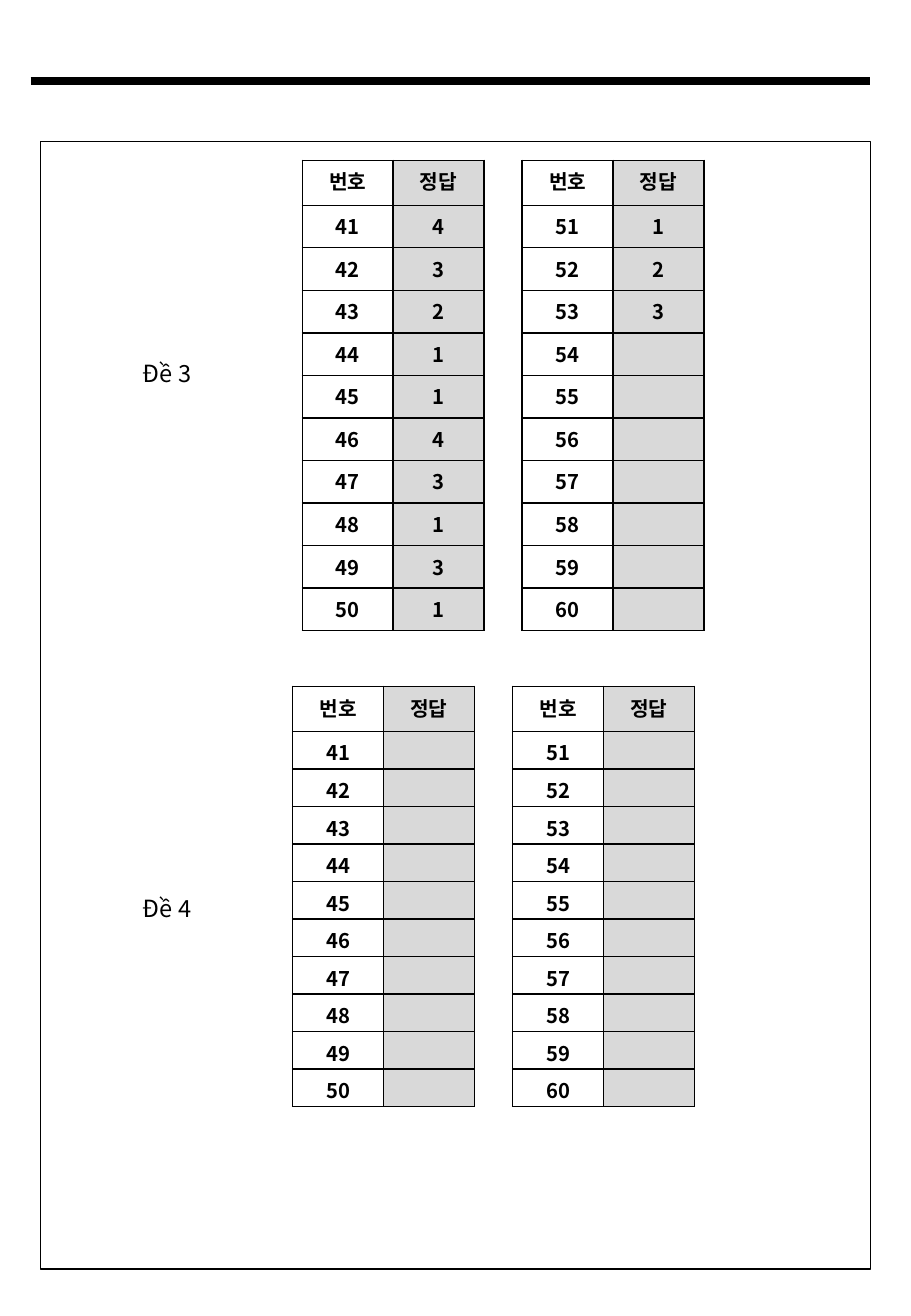
from lxml import etree
from pptx import Presentation
from pptx import util as u
from pptx.dml.color import RGBColor
from pptx.enum import shapes, text
from pptx.oxml.ns import qn

FONT = "Noto Sans CJK KR"
COLORS = {"ink": "000000", "answer": "D9D9D9"}
HEADER = ("번호", "정답")
FIRST_NUMBERS = (41, 51)
ROWS = 10

# Lengths in cm; answers are listed per column block
EXAMS = [
    {"label": "Đề 3", "label_y": 7.37, "x": 6.32, "y": 3.35, "body": 8.89, "bottom": 0.13,
     "answers": ("4321143131", "123")},
    {"label": "Đề 4", "label_y": 18.57, "x": 6.12, "y": 14.35, "body": 7.84, "bottom": 0,
     "answers": ("", "")},
]
LABEL_X, LABEL_W, LABEL_H = 2.74, 1.65, 0.86
COL_W, HEADER_H, TABLE_STEP = 1.9, 0.94, 4.6


def rgb(name):
    return RGBColor.from_string(COLORS[name])


def write(tf, content, size=12, bold=False, align=text.PP_ALIGN.LEFT):
    p = tf.paragraphs[0]
    p.alignment = align
    if not content:
        end = p._p.get_or_add_endParaRPr()
        end.set("sz", str(size * 100))
        for tag in ("a:latin", "a:ea"):
            etree.SubElement(end, qn(tag), typeface=FONT)
        return
    r = p.add_run()
    r.text = content
    r.font.size = u.Pt(size)
    r.font.bold = bold
    r.font.color.rgb = rgb("ink")
    r.font.name = FONT
    etree.SubElement(r._r.get_or_add_rPr(), qn("a:ea"), typeface=FONT)


def add_borders(cell):
    tcPr = cell._tc.get_or_add_tcPr()
    for i, side in enumerate(("a:lnL", "a:lnR", "a:lnT", "a:lnB")):
        ln = etree.Element(qn(side), w=str(u.Pt(1)))
        fill = etree.SubElement(ln, qn("a:solidFill"))
        etree.SubElement(fill, qn("a:srgbClr"), val=COLORS["ink"])
        tcPr.insert(i, ln)


def add_answer_table(s, x, y, first, answers, body, bottom):
    rows = [HEADER] + [(str(first + i), answers[i:i + 1]) for i in range(ROWS)]
    table = s.shapes.add_table(len(rows), 2, u.Cm(x), u.Cm(y), u.Cm(2 * COL_W),
                               u.Cm(HEADER_H + body)).table
    table.first_row = table.horz_banding = False
    for col in table.columns:
        col.width = u.Cm(COL_W)
    for i, values in enumerate(rows):
        table.rows[i].height = u.Cm(body / ROWS if i else HEADER_H)
        for j, value in enumerate(values):
            cell = table.cell(i, j)
            cell.margin_bottom = u.Cm(bottom)
            if j:
                cell.fill.solid()
                cell.fill.fore_color.rgb = rgb("answer")
            else:
                cell.fill.background()
            add_borders(cell)
            write(cell.text_frame, value, bold=True, align=text.PP_ALIGN.CENTER)


def main():
    prs = Presentation()
    prs.slide_width, prs.slide_height = u.Cm(19.05), u.Cm(27.51)
    s = prs.slides.add_slide(prs.slide_layouts[6])

    rule = s.shapes.add_connector(shapes.MSO_CONNECTOR.STRAIGHT,
                                  u.Cm(0.64), u.Cm(1.69), u.Cm(18.2), u.Cm(1.69))
    rule.line.color.rgb = rgb("ink")
    rule.line.width = u.Pt(4.5)
    etree.SubElement(rule._element.spPr, qn("a:effectLst"))

    frame = s.shapes.add_shape(shapes.MSO_SHAPE.RECTANGLE,
                               u.Cm(0.85), u.Cm(2.96), u.Cm(17.35), u.Cm(23.57))
    frame.shadow.inherit = False
    frame.fill.background()
    frame.line.color.rgb = rgb("ink")
    frame.line.width = u.Pt(0.75)

    for exam in EXAMS:
        label = s.shapes.add_textbox(u.Cm(LABEL_X), u.Cm(exam["label_y"]),
                                     u.Cm(LABEL_W), u.Cm(LABEL_H))
        label.text_frame.word_wrap = True
        label.text_frame.auto_size = text.MSO_AUTO_SIZE.SHAPE_TO_FIT_TEXT
        write(label.text_frame, exam["label"], size=14)
        for k, (first, answers) in enumerate(zip(FIRST_NUMBERS, exam["answers"])):
            add_answer_table(s, exam["x"] + k * TABLE_STEP, exam["y"], first, answers,
                             exam["body"], exam["bottom"])

    prs.save("out.pptx")


if __name__ == "__main__":
    main()
